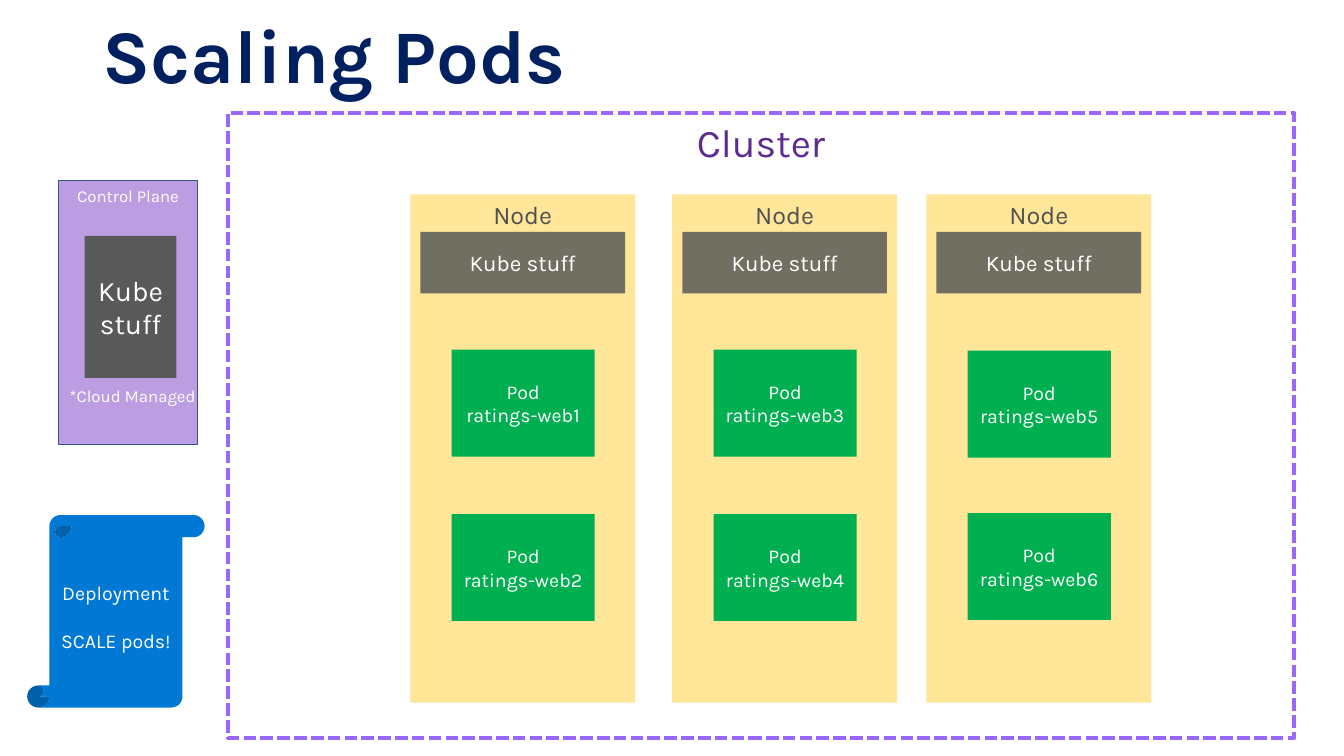
from dataclasses import dataclass

from lxml import etree
from pptx import Presentation
from pptx.dml.color import RGBColor
from pptx.enum.dml import MSO_LINE
from pptx.enum.shapes import MSO_SHAPE
from pptx.enum.text import MSO_ANCHOR, MSO_AUTO_SIZE, PP_ALIGN
from pptx.oxml.ns import qn
from pptx.util import Inches, Pt

RECT, SCROLL = MSO_SHAPE.RECTANGLE, MSO_SHAPE.VERTICAL_SCROLL
TOP, MIDDLE = MSO_ANCHOR.TOP, MSO_ANCHOR.MIDDLE
LEFT, CENTER = PP_ALIGN.LEFT, PP_ALIGN.CENTER
NO_FIT, GROW = MSO_AUTO_SIZE.NONE, MSO_AUTO_SIZE.SHAPE_TO_FIT_TEXT
DASH = MSO_LINE.SQUARE_DOT

WHITE = RGBColor(0xFF, 0xFF, 0xFF)
NAVY = RGBColor(0x00, 0x20, 0x60)
SAND = RGBColor(0xFF, 0xE6, 0x99)
GRAY = RGBColor(0x59, 0x59, 0x59)
DARK_GRAY = RGBColor(0x50, 0x50, 0x50)
GREEN = RGBColor(0x00, 0xB0, 0x50)
BLUE = RGBColor(0x00, 0x78, 0xD4)
LILAC = RGBColor(0xBD, 0x9D, 0xE1)
STEEL = RGBColor(0x32, 0x54, 0x91)
VIOLET = RGBColor(0x99, 0x66, 0xFF)
PURPLE = RGBColor(0x5C, 0x2D, 0x91)

FONT = "Karla"
SLIDE_W, SLIDE_H = Inches(13.333), Inches(7.5)
COL, ROW = SLIDE_W / 100, SLIDE_H / 100


@dataclass(frozen=True)
class Area:
    col: float
    row: float
    cols: float
    rows: float

    def emu(self) -> tuple[int, int, int, int]:
        return (round(self.col * COL), round(self.row * ROW),
                round(self.cols * COL), round(self.rows * ROW))


@dataclass(frozen=True)
class Box:
    area: Area
    lines: tuple[str, ...]
    size: float
    fill: RGBColor | None = None
    color: RGBColor = WHITE
    anchor: int = MIDDLE
    shape: int = RECT
    inset: float = 0
    gap: float = 0
    alpha: int = 100
    line: RGBColor | None = None
    line_width: float = 1
    dash: int | None = None


@dataclass(frozen=True)
class Node:
    col: float
    first_pod: int
    pod_rows: tuple[float, float]


NODES = (
    Node(30.53, 1, (46.27, 68)),
    Node(50.02, 3, (46.27, 68)),
    Node(68.93, 5, (46.4, 67.87)),
)

CONTROL_PLANE = Box(Area(4.35, 23.87, 10.35, 34.93), ("Control Plane",), 12,
                    LILAC, anchor=TOP, inset=0.1, line=STEEL)
CLUSTER = Box(Area(16.95, 14.93, 79.35, 82.67), ("Cluster",), 28,
              color=PURPLE, anchor=TOP, line=VIOLET, line_width=3, dash=DASH)
CONTROL_KUBE = Box(Area(6.3, 31.2, 6.83, 18.8), ("Kube stuff",), 20, GRAY)
DEPLOYMENT = Box(Area(2.03, 68.13, 13.2, 25.47), ("Deployment", "SCALE pods!"),
                 14, BLUE, shape=SCROLL, gap=17)


def add_run(p, text: str, size: float, color: RGBColor, bold: bool = False) -> None:
    r = p.add_run()
    r.text = text
    r.font.name = FONT
    r.font.size = Pt(size)
    r.font.bold = bold
    r.font.color.rgb = color


def draw_box(s, box: Box) -> None:
    sp = s.shapes.add_shape(box.shape, *box.area.emu())
    sp.shadow.inherit = False
    if box.fill is None:
        sp.fill.background()
    else:
        sp.fill.solid()
        sp.fill.fore_color.rgb = box.fill
    if box.alpha < 100:
        rgb = sp.fill._xPr.find(f".//{qn('a:srgbClr')}")
        etree.SubElement(rgb, qn("a:alpha")).set("val", str(box.alpha * 1000))
    if box.line is None:
        sp.line.fill.background()
    else:
        sp.line.color.rgb = box.line
        sp.line.width = Pt(box.line_width)
        if box.dash is not None:
            sp.line.dash_style = box.dash
    tf = sp.text_frame
    tf.word_wrap = True
    tf.vertical_anchor = box.anchor
    tf.margin_left = tf.margin_right = Inches(box.inset)
    for i, text in enumerate(box.lines):
        p = tf.add_paragraph() if i else tf.paragraphs[0]
        p.alignment = CENTER
        if i and box.gap:
            p.space_before = Pt(box.gap)
        add_run(p, text, box.size, box.color)


def draw_node(s, node: Node) -> None:
    draw_box(s, Box(Area(node.col, 25.73, 16.73, 67.2), ("Node",), 18, SAND,
                    DARK_GRAY, TOP))
    draw_box(s, Box(Area(node.col + 0.75, 30.67, 15.23, 8.13), ("Kube stuff",),
                    16, GRAY, alpha=85))
    for number, row in enumerate(node.pod_rows, node.first_pod):
        draw_box(s, Box(Area(node.col + 3.07, row, 10.65, 14.13),
                        ("Pod", f"ratings-web{number}"), 14, GREEN))


def draw_note(s) -> None:
    tf = s.shapes.add_textbox(*Area(3.68, 50.13, 14.03, 6.67).emu()).text_frame
    tf.word_wrap = True
    tf.auto_size = GROW
    tf.margin_left = tf.margin_right = Inches(0.2)
    tf.margin_top = tf.margin_bottom = Inches(0.16)
    p = tf.paragraphs[0]
    p.line_spacing = 0.9
    p.space_after = Pt(6)
    add_run(p, "*Cloud Managed", 12, WHITE)


def draw_title(s) -> None:
    title = s.shapes.title
    title.left, title.top, title.width, title.height = Area(
        6.88, -1.87, 86.25, 19.33).emu()
    tf = title.text_frame
    tf.auto_size = NO_FIT
    tf.vertical_anchor = MIDDLE
    p = tf.paragraphs[0]
    p.alignment = LEFT
    p.line_spacing = 0.9
    add_run(p, "Scaling Pods", 54, NAVY, True)


def main() -> None:
    prs = Presentation()
    prs.slide_width, prs.slide_height = SLIDE_W, SLIDE_H
    s = prs.slides.add_slide(prs.slide_layouts[5])
    draw_title(s)
    for box in (CONTROL_PLANE, CLUSTER, CONTROL_KUBE, DEPLOYMENT):
        draw_box(s, box)
    draw_note(s)
    for node in NODES:
        draw_node(s, node)
    prs.save("out.pptx")


if __name__ == "__main__":
    main()
